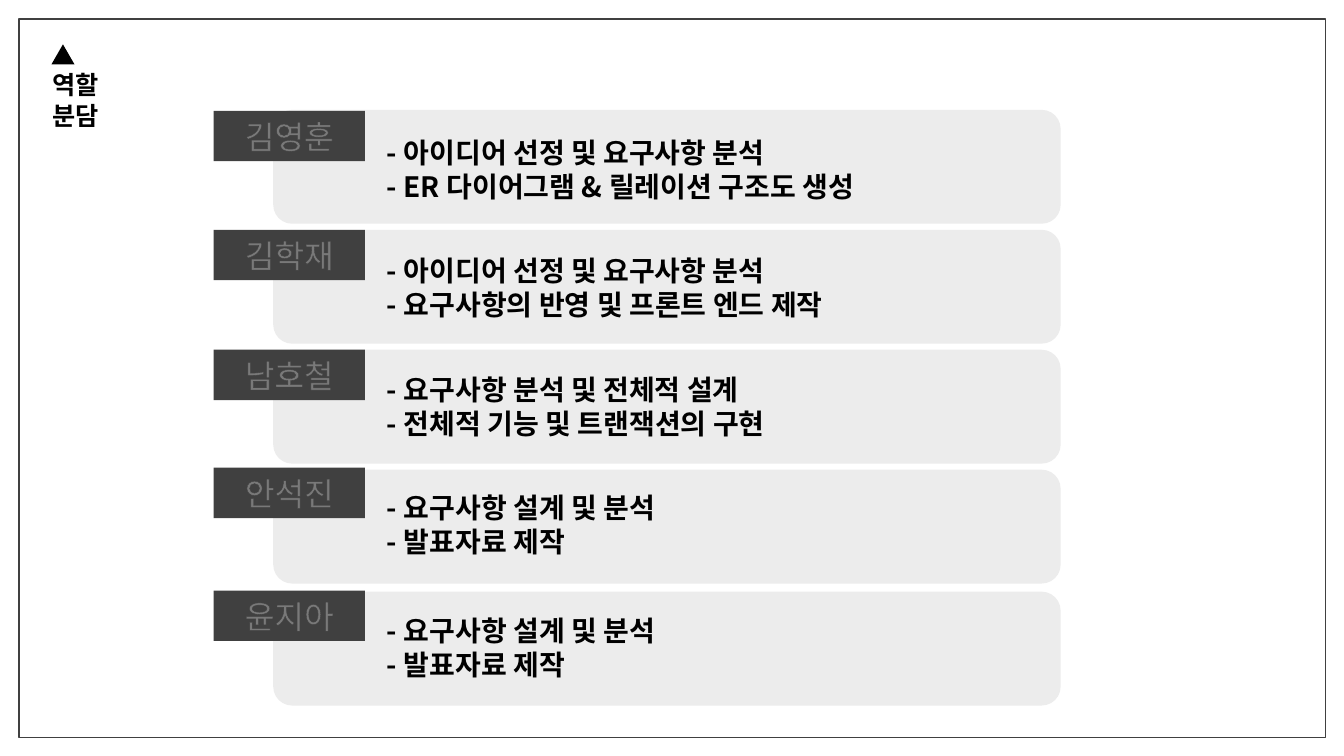
from lxml.etree import SubElement
from pptx import Presentation
from pptx.dml.color import RGBColor
from pptx.enum.shapes import MSO_SHAPE
from pptx.enum.text import MSO_ANCHOR, PP_ALIGN
from pptx.oxml.ns import qn
from pptx.util import Inches, Pt

FONT = "Noto Sans CJK KR"
COLORS = {"black": "000000", "white": "FFFFFF", "dark": "404040", "card": "ECECEC"}
# name, tasks, tops of card, tag and text
ROLES = [
    ("김영훈", ["- 아이디어 선정 및 요구사항 분석", "- ER 다이어그램 & 릴레이션 구조도 생성"], 1.09, 1.1, 1.3),
    ("김학재", ["- 아이디어 선정 및 요구사항 분석", "- 요구사항의 반영 및 프론트 엔드 제작"], 2.28, 2.28, 2.47),
    ("남호철", ["- 요구사항 분석 및 전체적 설계", "- 전체적 기능 및 트랜잭션의 구현"], 3.47, 3.47, 3.65),
    ("안석진", ["- 요구사항 설계 및 분석", "- 발표자료 제작"], 4.66, 4.64, 4.82),
    ("윤지아", ["- 요구사항 설계 및 분석", "- 발표자료 제작"], 5.87, 5.86, 6.04),
]


def color(name):
    return RGBColor.from_string(COLORS[name])


def add_box(shapes, kind, box, fill=None, line=None):
    shape = shapes.add_shape(kind, *map(Inches, box))
    shape.shadow.inherit = False
    if fill:
        shape.fill.solid()
        shape.fill.fore_color.rgb = color(fill)
    else:
        shape.fill.background()
    if line:
        shape.line.color.rgb = color(line)
        shape.line.width = Pt(1)
    else:
        shape.line.fill.background()
    return shape


def add_run(para, text, size, tint, bold=False, edge=None):
    run = para.add_run()
    run.text = text
    font = run.font
    font.size, font.bold, font.name = Pt(size), bold, FONT
    font.color.rgb = color(tint)
    props = font._element
    if edge:
        line = props.makeelement(qn("a:ln"), {"w": str(Pt(0.75))})
        props.insert(0, line)
        fill = SubElement(SubElement(line, qn("a:solidFill")), qn("a:srgbClr"), val=COLORS[edge])
        SubElement(fill, qn("a:alpha"), val="30000")
    SubElement(props, qn("a:ea"), typeface=FONT)


def add_head(slide, left, top):
    add_box(slide.shapes, MSO_SHAPE.ISOSCELES_TRIANGLE, (left + 0.09, top, 0.23, 0.2), "black")
    title = slide.shapes.title
    title.left, title.top = Inches(left), Inches(top + 0.2)
    title.width, title.height = Inches(1.14), Inches(0.4)
    frame = title.text_frame
    frame.word_wrap = True
    frame.vertical_anchor = MSO_ANCHOR.TOP
    para = frame.paragraphs[0]
    para.alignment = PP_ALIGN.LEFT
    add_run(para, "역할 분담", 18, "black", True, "black")


def add_role(slide, left, name, tasks, card, tag, text):
    shapes = slide.shapes.add_group_shape().shapes
    add_box(shapes, MSO_SHAPE.ROUNDED_RECTANGLE, (left + 0.59, card, 7.81, 1.13), "card")
    label = add_box(shapes, MSO_SHAPE.RECTANGLE, (left, tag, 1.5, 0.5), "dark")
    para = label.text_frame.paragraphs[0]
    para.alignment = PP_ALIGN.CENTER
    add_run(para, name, 23, "white", edge="dark")
    body = shapes.add_textbox(*map(Inches, (left + 1.62, text, 7.5, 0.77)))
    frame = body.text_frame
    frame.word_wrap = True
    for i, task in enumerate(tasks):
        para = frame.add_paragraph() if i else frame.paragraphs[0]
        add_run(para, task, 20, "black", True)


def main():
    deck = Presentation()
    deck.slide_width, deck.slide_height = Inches(13.33), Inches(7.5)
    slide = deck.slides.add_slide(deck.slide_layouts[5])
    add_box(slide.shapes, MSO_SHAPE.RECTANGLE, (0.19, 0.19, 12.96, 7.13), line="dark")
    add_head(slide, 0.42, 0.44)
    for role in ROLES:
        add_role(slide, 2.12, *role)
    deck.save("out.pptx")


if __name__ == "__main__":
    main()
